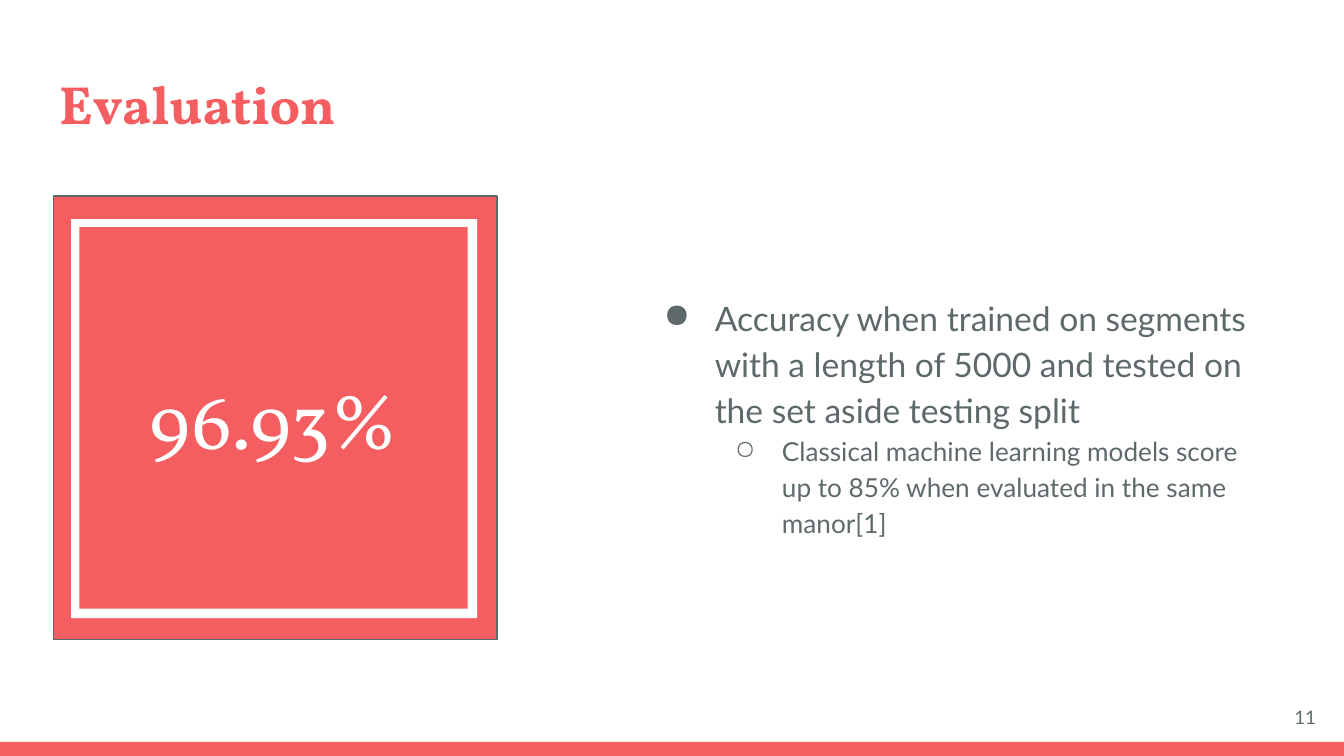
import pptx
import pptx.dml.color
import pptx.enum.shapes
import pptx.enum.text
import pptx.oxml
import pptx.oxml.ns
import pptx.util
from pptx.util import Inches

CORAL = pptx.dml.color.RGBColor(0xF5, 0x5E, 0x61)
SLATE = pptx.dml.color.RGBColor(0x5E, 0x69, 0x6C)
WHITE = pptx.dml.color.RGBColor(0xFF, 0xFF, 0xFF)
ALIGN = pptx.enum.text.PP_ALIGN
ANCHOR = pptx.enum.text.MSO_ANCHOR


class SlideBuilder:
    heading_font = "Vollkorn"
    body_font = "Lato"
    inset = Inches(0.1)

    def __init__(self, slide):
        self.slide = slide

    def frame(self, box, anchor=ANCHOR.TOP):
        frame = box.text_frame
        frame.word_wrap = True
        frame.auto_size = pptx.enum.text.MSO_AUTO_SIZE.NONE
        frame.vertical_anchor = anchor
        frame.margin_left = frame.margin_right = self.inset
        frame.margin_top = frame.margin_bottom = self.inset
        return frame

    def span(self, para, text, font, size, color, align=ALIGN.LEFT, bold=False):
        para.alignment = align
        span = para.add_run()
        span.text = text
        span.font.name = font
        span.font.size = pptx.util.Pt(size)
        span.font.bold = bold
        span.font.color.rgb = color

    def title(self, text, left, top, width, height):
        box = self.slide.shapes.title
        box.left, box.top = Inches(left), Inches(top)
        box.width, box.height = Inches(width), Inches(height)
        para = self.frame(box).paragraphs[0]
        self.span(para, text, self.heading_font, 28.8, CORAL, bold=True)

    def rectangle(self, left, top, width, height, fill, line=None):
        box = self.slide.shapes.add_shape(
            pptx.enum.shapes.MSO_SHAPE.RECTANGLE,
            Inches(left), Inches(top), Inches(width), Inches(height))
        box.shadow.inherit = False
        box.fill.solid()
        box.fill.fore_color.rgb = fill
        if line is None:
            box.line.fill.background()
        else:
            box.line.color.rgb = line
            box.line.width = pptx.util.Pt(0.75)
        return box

    def figure(self, box, text):
        para = self.frame(box, ANCHOR.MIDDLE).paragraphs[0]
        self.span(para, text, self.heading_font, 42, WHITE, ALIGN.CENTER)

    def text_box(self, left, top, width, height, anchor=ANCHOR.TOP):
        box = self.slide.shapes.add_textbox(
            Inches(left), Inches(top), Inches(width), Inches(height))
        return self.frame(box, anchor)

    def bullets(self, items, left, top, width, height):
        frame = self.text_box(left, top, width, height)
        for index, (text, size, symbol, hanging) in enumerate(items):
            para = frame.add_paragraph() if index else frame.paragraphs[0]
            para.level = index
            para.line_spacing = 1.15
            self.span(para, text, self.body_font, size, SLATE)
            self.bullet(para, symbol, 0.5 * (index + 1), hanging)

    def bullet(self, para, symbol, indent, hanging):
        properties = para._p.get_or_add_pPr()
        properties.set("marL", str(Inches(indent)))
        properties.set("indent", str(-Inches(hanging)))
        namespace = pptx.oxml.ns.nsdecls("a")
        for markup in (
            f'<a:buClr {namespace}><a:srgbClr val="{SLATE}"/></a:buClr>',
            f'<a:buChar {namespace} char="{symbol}"/>',
        ):
            properties.append(pptx.oxml.parse_xml(markup))

    def page_number(self, text, left, top, width, height):
        para = self.text_box(left, top, width, height, ANCHOR.MIDDLE).paragraphs[0]
        self.span(para, text, self.body_font, 10, SLATE, ALIGN.RIGHT)


def main():
    deck = pptx.Presentation()
    deck.slide_width, deck.slide_height = Inches(10), Inches(10 * 9 / 16)
    page = SlideBuilder(deck.slides.add_slide(deck.slide_layouts[5]))

    page.rectangle(0, 5.52, 10, 0.11, CORAL)
    page.title("Evaluation", 0.34, 0.43, 9.32, 0.68)
    page.bullets([
        ("Accuracy when trained on segments with a length of 5000 "
         "and tested on the set aside testing split", 18, "●", 0.38),
        ("Classical machine learning models score up to 85% "
         "when evaluated in the same manor[1]", 14, "○", 0.35),
    ], 4.72, 2.07, 4.66, 2.08)

    page.rectangle(0.4, 1.46, 3.3, 3.3, CORAL, SLATE)
    page.rectangle(0.53, 1.63, 3.02, 2.97, WHITE)
    panel = page.rectangle(0.59, 1.69, 2.89, 2.84, CORAL)
    page.figure(panel, "96.93%")
    page.page_number("11", 9.29, 5.12, 0.6, 0.43)

    deck.save("out.pptx")


if __name__ == "__main__":
    main()
